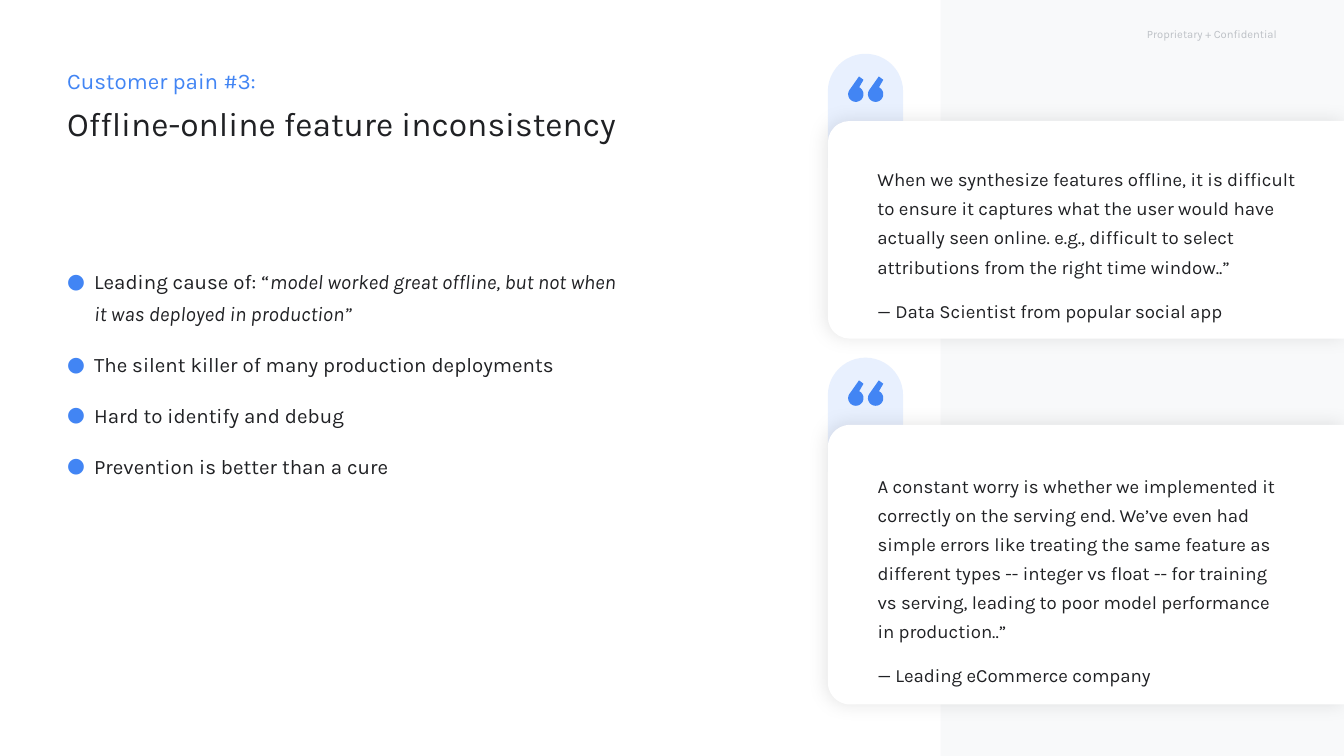
from math import cos, radians, sin

from lxml import etree
from pptx import Presentation
from pptx.dml.color import RGBColor
from pptx.enum.shapes import MSO_SHAPE
from pptx.enum.text import MSO_ANCHOR, MSO_AUTO_SIZE, PP_ALIGN
from pptx.oxml import parse_xml
from pptx.oxml.ns import nsdecls, qn
from pptx.util import Pt

RECT = MSO_SHAPE.RECTANGLE
ROUND_TOP = MSO_SHAPE.ROUND_2_SAME_RECTANGLE
TOP, MIDDLE = MSO_ANCHOR.TOP, MSO_ANCHOR.MIDDLE
LEFT, RIGHT = PP_ALIGN.LEFT, PP_ALIGN.RIGHT
NO_FIT = MSO_AUTO_SIZE.NONE

BLUE, PALE_BLUE, INK = "4285F4", "E8F0FE", "202124"
PANEL, WHITE, GREY = "F8F9FA", "FFFFFF", "BDC1C6"
CARD_LEFT, CARD_WIDTH = 443.5, 276.5

SHADOW = (
    f'<a:effectLst {nsdecls("a")}>'
    '<a:outerShdw blurRad="128270" dist="19050" dir="12000000" algn="bl" rotWithShape="0">'
    '<a:srgbClr val="000000"><a:alpha val="10000"/></a:srgbClr>'
    '</a:outerShdw></a:effectLst>'
)


def rgb(value):
    return RGBColor.from_string(value)


class Deck:
    font = "Karla"

    def __init__(self, prs):
        self.slide = prs.slides.add_slide(prs.slide_layouts[1])

    def paint(self, sp, fill):
        sp.shadow.inherit = False
        sp.fill.solid()
        sp.fill.fore_color.rgb = rgb(fill)
        sp.line.fill.background()

    def shape(self, kind, x, y, w, h, fill):
        sp = self.slide.shapes.add_shape(kind, Pt(x), Pt(y), Pt(w), Pt(h))
        self.paint(sp, fill)
        return sp

    def round_top(self, x, y, w, h, fill, radius):
        sp = self.shape(ROUND_TOP, x, y, w, h, fill)
        sp.adjustments[0], sp.adjustments[1] = radius, 0
        return sp

    def card(self, y, h, radius):
        x = CARD_LEFT + (CARD_WIDTH - h) / 2
        top = y + (h - CARD_WIDTH) / 2
        sp = self.round_top(x, top, h, CARD_WIDTH, WHITE, radius)
        sp.rotation = 270
        props = sp._element.spPr
        props.remove(props.find(qn("a:effectLst")))
        props.append(parse_xml(SHADOW))

    def quote_mark(self, x, y):
        drop = [
            (4.1 + 4.1 * cos(radians(a)), 9.5 + 4.1 * sin(radians(a)))
            for a in range(223, -65, -7)
        ]
        points = [(Pt(x + dx), Pt(y + dy)) for dx, dy in drop + [(8.2, 1.8)]]
        builder = self.slide.shapes.build_freeform(Pt(x + 5.8), Pt(y))
        builder.add_line_segments(points, close=True)
        self.paint(builder.convert_to_shape(), BLUE)

    def style(self, p, size, color, before=0, spacing=1.0, align=LEFT):
        p.alignment = align
        p.line_spacing = spacing
        p.space_before = Pt(before)
        for r in p.runs:
            r.font.name = self.font
            r.font.size = Pt(size)
            r.font.color.rgb = rgb(color)

    def frame(self, sp, margins, anchor=TOP):
        tf = sp.text_frame
        tf.word_wrap = True
        tf.auto_size = NO_FIT
        tf.vertical_anchor = anchor
        tf.margin_left, tf.margin_top, tf.margin_right, tf.margin_bottom = map(Pt, margins)
        return tf

    def placeholder(self, index, x, y, w, h, margins):
        sp = self.slide.placeholders[index]
        sp.left, sp.top, sp.width, sp.height = Pt(x), Pt(y), Pt(w), Pt(h)
        return self.frame(sp, margins)

    def text_box(self, x, y, w, h, margins, anchor=TOP):
        sp = self.slide.shapes.add_textbox(Pt(x), Pt(y), Pt(w), Pt(h))
        return self.frame(sp, margins, anchor)

    def title(self, kicker, heading):
        tf = self.placeholder(0, 36, 36, 333.4, 32.4, (0, 0, 7.2, 0))
        tf.text = f"{kicker}\n{heading}"
        self.style(tf.paragraphs[0], 12, BLUE)
        self.style(tf.paragraphs[1], 18, INK, before=5)

    def bullet(self, p):
        props = p._p.get_or_add_pPr()
        props.set("marL", str(Pt(14.4)))
        props.set("indent", str(-Pt(14.4)))
        color = etree.SubElement(props, qn("a:buClr"))
        etree.SubElement(color, qn("a:srgbClr"), val=BLUE)
        etree.SubElement(props, qn("a:buFont"), typeface=self.font)
        etree.SubElement(props, qn("a:buChar"), char="●")

    def bullets(self, items):
        tf = self.placeholder(1, 36, 133.2, 303.8, 127.4, (0, 7.2, 7.2, 7.2))
        for i, (text, italic) in enumerate(items):
            p = tf.add_paragraph() if i else tf.paragraphs[0]
            p.text = text
            if italic:
                r = p.add_run()
                r.text = italic
                r.font.italic = True
            self.bullet(p)
            self.style(p, 11, INK, before=10 if i else 0, spacing=1.3)

    def quote(self, y, h, radius, text_y, text_w, quote, source):
        tab_y = y - 36
        self.round_top(CARD_LEFT, tab_y, 40.3, 61.2, PALE_BLUE, 0.5)
        self.card(y, h, radius)
        for dx in (10.9, 21.5):
            self.quote_mark(CARD_LEFT + dx, tab_y + 12.2)
        tf = self.text_box(463, text_y, text_w, 77, (7.2, 7.2, 28.8, 7.2))
        tf.text = f"{quote}\n{source}"
        for p, before in zip(tf.paragraphs, (0, 8)):
            self.style(p, 10, INK, before=before, spacing=1.3)

    def label(self, text):
        tf = self.text_box(532.8, 0, 151.2, 36, (0, 0, 0, 0), MIDDLE)
        tf.text = text
        self.style(tf.paragraphs[0], 6, GREY, align=RIGHT)


def main():
    prs = Presentation()
    prs.slide_width, prs.slide_height = Pt(720), Pt(405)
    s = Deck(prs)
    s.shape(RECT, 504, 0, 216, 405, PANEL)
    s.title("Customer pain #3:", "Offline-online feature inconsistency")
    s.bullets([
        ("Leading cause of: “",
         "model worked great offline, but not when it was deployed in production”"),
        ("The silent killer of many production deployments", ""),
        ("Hard to identify and debug", ""),
        ("Prevention is better than a cure", ""),
    ])
    s.quote(
        227.6, 149.8, 0.08, 243.4, 252.7,
        "A constant worry is whether we implemented it correctly on the serving end. "
        "We’ve even had simple errors like treating the same feature as different types "
        "-- integer vs float -- for training vs serving, leading to poor model "
        "performance in production..”",
        "— Leading eCommerce company",
    )
    s.quote(
        64.8, 116.6, 0.1, 79.2, 263.5,
        "When we synthesize features offline, it is difficult to ensure it captures what "
        "the user would have actually seen online. e.g., difficult to select attributions "
        "from the right time window..”",
        "— Data Scientist from popular social app",
    )
    s.label("Proprietary + Confidential")
    prs.save("out.pptx")


if __name__ == "__main__":
    main()
